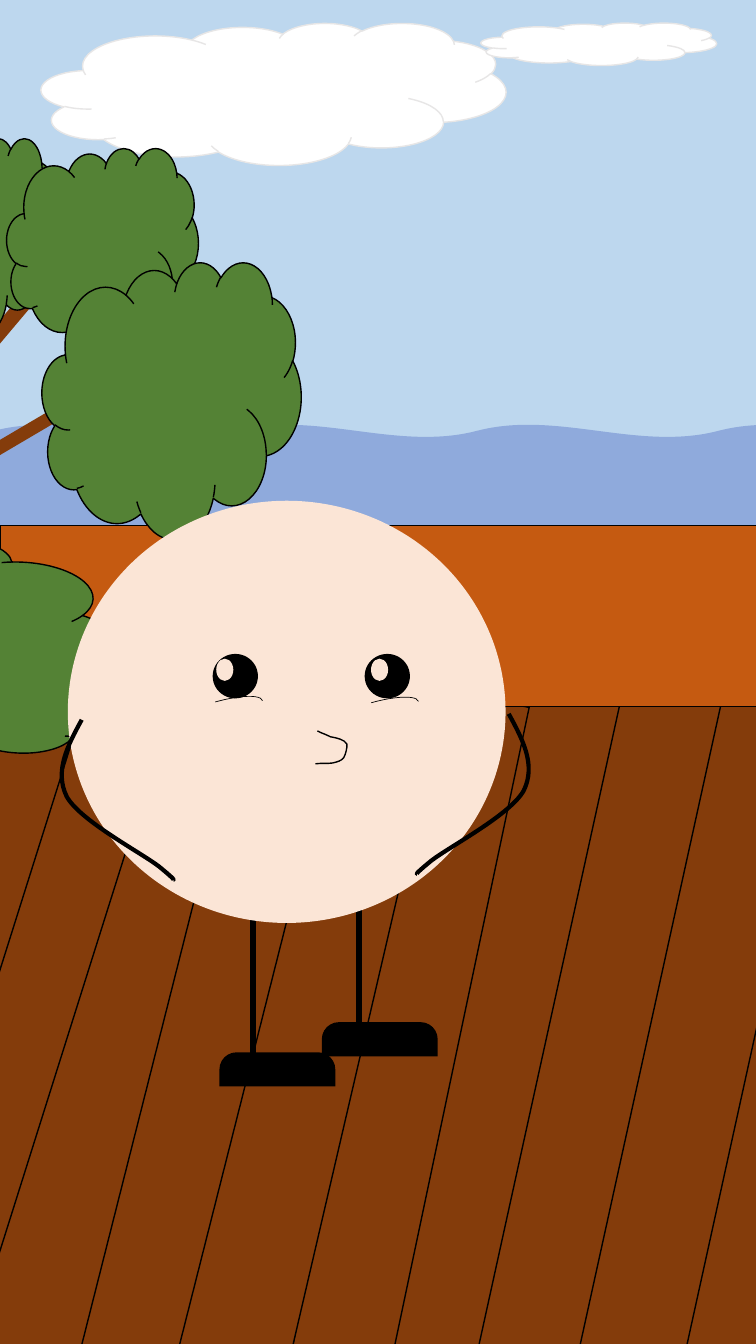
from dataclasses import dataclass
from typing import Optional

from lxml import etree
from pptx import Presentation
from pptx.dml.color import RGBColor
from pptx.enum.shapes import MSO_CONNECTOR, MSO_SHAPE
from pptx.oxml import ns
from pptx.util import Cm, Pt

SKY, WHITE, CLOUD_EDGE, SEA = "BDD7EE", "FFFFFF", "E7E6E6", "8FAADC"
WOOD, WALL, LEAF, SKIN, BLACK = "843C0B", "C55A11", "548235", "FBE5D6", "000000"

Point = tuple[float, float]


@dataclass
class Look:
    preset: MSO_SHAPE
    fill: Optional[str] = None
    edge: Optional[str] = None
    edge_pt: float = 1


@dataclass
class Place:
    """Position and size in centimetres, rotation in degrees."""
    left: float
    top: float
    width: float
    height: float
    rotation: float = 0


@dataclass
class Stroke:
    """A start point, then two control points and an end point per curve."""
    place: Place
    points: list[Point]
    width_pt: float


CLOUD = Look(MSO_SHAPE.CLOUD, WHITE, CLOUD_EDGE)
WAVE = Look(MSO_SHAPE.DOUBLE_WAVE, SEA)
PLANK = Look(MSO_SHAPE.RECTANGLE, WOOD, BLACK)
BRANCH = Look(MSO_SHAPE.CAN, WOOD)
FOLIAGE = Look(MSO_SHAPE.CLOUD, LEAF, BLACK)
BODY = Look(MSO_SHAPE.OVAL, SKIN)
EYE = Look(MSO_SHAPE.OVAL, BLACK)
SHOE = Look(MSO_SHAPE.ROUND_2_SAME_RECTANGLE, BLACK)
EYELID = Look(MSO_SHAPE.ARC, None, BLACK, 0.5)

CLOUDS = [Place(1.04, 0.58, 11.71, 3.58), Place(12.12, 0.58, 5.94, 1.07)]
WAVE_WIDTH, WAVE_HEIGHT = 12.17, 2.54
WAVE_STARTS = [(-0.15, 10.7), (-2.29, 11.43)]
PLANKS = [
    Place(8.76, 17.45, 3.43, 18.64, 10.7),
    Place(11.33, 17.27, 2.59, 20.42, 11.9),
    Place(13.61, 17.17, 2.72, 19.74, 12.4),
    Place(6.25, 16.97, 2.84, 18.87, 13.1),
    Place(1.47, 17.17, 2.64, 17.3, 14.3),
    Place(4.06, 16.59, 2.39, 19.1, 14.2),
    Place(-1.96, 16.54, 2.06, 16.18, 16.2),
    Place(-0.18, 17.09, 2.13, 16.18, 17.5),
    Place(16.08, 17.53, 2.72, 19.74, 12.4),
    Place(18.47, 18.9, 2.72, 19.74, 12.4),
]
BRANCHES = [Place(-0.28, 8.64, 0.33, 5.41, 59.5), Place(-0.58, 6.12, 0.38, 5.41, 40.1)]
TREE_AND_BUSH = [
    Place(-2.46, 3.48, 3.96, 4.93),
    Place(0.17, 3.73, 4.83, 4.93),
    Place(1.06, 6.6, 6.53, 6.99),
    Place(-3.92, 12.03, 5.41, 8.56, 92.7),
]
LEG_TOPS, LEG_LENGTH = [(6.38, 23.19), (9.04, 22.63)], 3.81
SHOES = [Place(8.11, 25.76, 2.92, 0.86), Place(5.53, 26.52, 2.92, 0.86)]
EYES = [Place(5.36, 16.48, 1.14, 1.12), Place(9.19, 16.48, 1.14, 1.12)]
GLINTS = [Place(5.45, 16.6, 0.43, 0.56), Place(9.35, 16.6, 0.43, 0.56)]
EYELIDS = [Place(4.35, 17.68, 2.31, 0.58, 344.2), Place(8.28, 17.7, 2.31, 0.58, 344.2)]

LEFT_ARM = [
    (2.06, 18.14), (1.7, 18.8), (1.37, 19.43), (1.68, 20.07),
    (2.01, 20.68), (3.56, 21.49), (4.01, 21.84),
    (4.45, 22.2), (4.37, 22.17), (4.37, 22.17),
]
RIGHT_ARM = [(14.88 - x, y - 0.15) for x, y in LEFT_ARM]
NOSE = [
    (8, 18.42), (8.03, 18.44), (8.03, 18.44), (8.1, 18.47),
    (8.15, 18.49), (8.23, 18.52), (8.33, 18.57),
    (8.46, 18.59), (8.69, 18.64), (8.74, 18.75),
    (8.76, 18.82), (8.71, 19.02), (8.66, 19.1),
    (8.59, 19.18), (8.51, 19.2), (8.38, 19.23),
    (8.26, 19.25), (8.1, 19.23), (7.95, 19.25),
]
STROKES = [
    Stroke(Place(1.55, 18.14, 2.82, 4.03), LEFT_ARM, 3),
    Stroke(Place(10.51, 17.99, 2.82, 4.03), RIGHT_ARM, 3),
    Stroke(Place(7.95, 18.42, 0.81, 0.83), NOSE, 1),
]


def colour(hex_code: str) -> RGBColor:
    return RGBColor.from_string(hex_code)


def style_line(line, hex_code: Optional[str], width_pt: float) -> None:
    if hex_code is None:
        line.fill.background()
    else:
        line.color.rgb = colour(hex_code)
        line.width = Pt(width_pt)


def draw(shapes, look: Look, *places: Place) -> list:
    drawn = []
    for place in places:
        shape = shapes.add_shape(look.preset, Cm(place.left), Cm(place.top),
                                 Cm(place.width), Cm(place.height))
        shape.rotation = place.rotation
        shape.shadow.inherit = False
        if look.fill is None:
            shape.fill.background()
        else:
            shape.fill.solid()
            shape.fill.fore_color.rgb = colour(look.fill)
        style_line(shape.line, look.edge, look.edge_pt)
        drawn.append(shape)
    return drawn


def draw_stroke(shapes, stroke: Stroke) -> None:
    """Build the outline, then turn its segments into cubic curves."""
    place = stroke.place
    local = [(Cm(x - place.left), Cm(y - place.top)) for x, y in stroke.points]
    builder = shapes.build_freeform(*local[0])
    builder.add_line_segments(local[3::3], close=False)
    shape = builder.convert_to_shape()
    shape.left, shape.top = Cm(place.left), Cm(place.top)
    shape.width, shape.height = Cm(place.width), Cm(place.height)
    shape.shadow.inherit = False
    shape.fill.background()
    style_line(shape.line, BLACK, stroke.width_pt)

    outline = next(shape._element.iter(ns.qn("a:path")))
    outline.set("w", str(shape.width))
    outline.set("h", str(shape.height))
    for child in list(outline):
        outline.remove(child)
    commands = [("a:moveTo", local[:1])]
    commands += [("a:cubicBezTo", local[i:i + 3]) for i in range(1, len(local), 3)]
    for tag, points in commands:
        command = etree.SubElement(outline, ns.qn(tag))
        for x, y in points:
            etree.SubElement(command, ns.qn("a:pt"), x=str(x), y=str(y))


def draw_leg(shapes, x: float, top: float) -> None:
    leg = shapes.add_connector(MSO_CONNECTOR.STRAIGHT, Cm(x), Cm(top),
                               Cm(x), Cm(top + LEG_LENGTH))
    style_line(leg.line, BLACK, 4.5)
    etree.SubElement(leg._element.spPr, ns.qn("a:effectLst"))


def draw_scenery(shapes) -> None:
    draw(shapes, Look(MSO_SHAPE.RECTANGLE, SKY), Place(0, 0, 19.05, 33.87))
    draw(shapes, CLOUD, *CLOUDS)
    for left, top in WAVE_STARTS:
        row = shapes.add_group_shape().shapes
        draw(row, WAVE, *(Place(left + i * WAVE_WIDTH, top, WAVE_WIDTH, WAVE_HEIGHT)
                          for i in range(2)))
    draw(shapes, PLANK, *PLANKS)
    draw(shapes, Look(MSO_SHAPE.RECTANGLE, WALL, BLACK), Place(0, 13.25, 19.1, 4.55))
    draw(shapes, BRANCH, *BRANCHES)
    draw(shapes, FOLIAGE, *TREE_AND_BUSH)


def draw_character(shapes) -> None:
    for x, top in LEG_TOPS:
        draw_leg(shapes, x, top)
    draw(shapes, BODY, Place(1.71, 12.62, 11.03, 10.64))
    for shoe in draw(shapes, SHOE, *SHOES):
        shoe.adjustments[0] = 0.5
    for stroke in STROKES:
        draw_stroke(shapes, stroke)
    draw(shapes, EYE, *EYES)
    draw(shapes, BODY, *GLINTS)


def main() -> None:
    deck = Presentation()
    deck.slide_width, deck.slide_height = Cm(19.05), Cm(33.87)
    slide = deck.slides.add_slide(deck.slide_layouts[6])
    draw_scenery(slide.shapes)
    draw_character(slide.shapes.add_group_shape().shapes)
    draw(slide.shapes, EYELID, *EYELIDS)
    deck.save("out.pptx")


if __name__ == "__main__":
    main()
